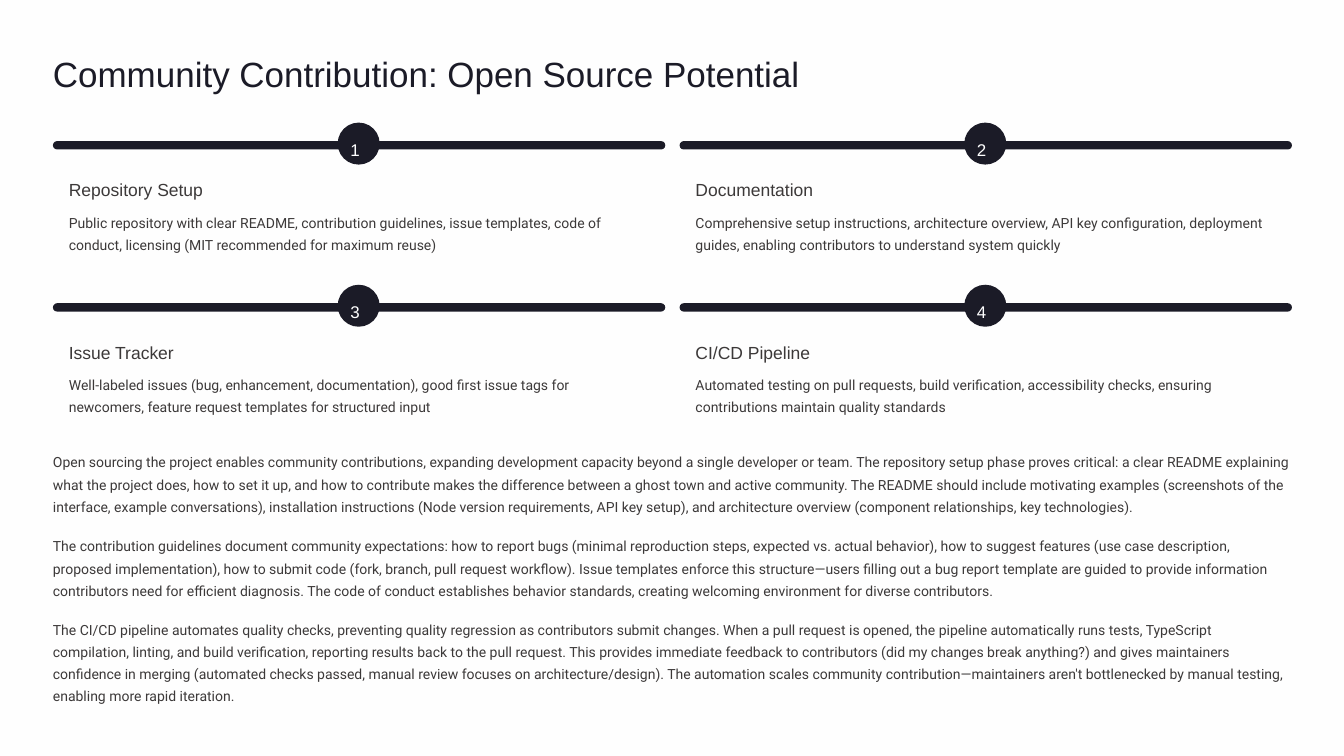
import pptx
import pptx.dml.color
import pptx.enum.shapes
import pptx.enum.text
import pptx.oxml.ns
import pptx.util
from lxml import etree

Inches = pptx.util.Inches
Pt = pptx.util.Pt

NAVY, GREY, WHITE = "1B1B27", "3C3939", "FFFFFF"
FORMATS = {
    "title": {"name": "Arial", "size": 30, "color": NAVY, "spacing": 37.5, "wrap": False},
    "number": {"name": "Arial", "size": 14.5, "color": WHITE, "spacing": 23, "wrap": False},
    "heading": {"name": "Arial", "size": 15, "color": GREY, "spacing": 18.5, "wrap": False},
    "body": {"name": "Roboto", "size": 12, "color": GREY, "spacing": 19, "wrap": True},
}

STEPS = [
    ("Repository Setup",
     "Public repository with clear README, contribution guidelines, issue templates, "
     "code of conduct, licensing (MIT recommended for maximum reuse)"),
    ("Documentation",
     "Comprehensive setup instructions, architecture overview, API key configuration, "
     "deployment guides, enabling contributors to understand system quickly"),
    ("Issue Tracker",
     "Well-labeled issues (bug, enhancement, documentation), good first issue tags for "
     "newcomers, feature request templates for structured input"),
    ("CI/CD Pipeline",
     "Automated testing on pull requests, build verification, accessibility checks, "
     "ensuring contributions maintain quality standards"),
]

# Top, height and wording of each closing paragraph
NOTES = [
    (5.34, 0.81,
     "Open sourcing the project enables community contributions, expanding development "
     "capacity beyond a single developer or team. The repository setup phase proves "
     "critical: a clear README explaining what the project does, how to set it up, and how "
     "to contribute makes the difference between a ghost town and active community. The "
     "README should include motivating examples (screenshots of the interface, example "
     "conversations), installation instructions (Node version requirements, API key setup), "
     "and architecture overview (component relationships, key technologies)."),
    (6.34, 0.81,
     "The contribution guidelines document community expectations: how to report bugs "
     "(minimal reproduction steps, expected vs. actual behavior), how to suggest features "
     "(use case description, proposed implementation), how to submit code (fork, branch, "
     "pull request workflow). Issue templates enforce this structure—users filling out a "
     "bug report template are guided to provide information contributors need for efficient "
     "diagnosis. The code of conduct establishes behavior standards, creating welcoming "
     "environment for diverse contributors."),
    (7.33, 1.07,
     "The CI/CD pipeline automates quality checks, preventing quality regression as "
     "contributors submit changes. When a pull request is opened, the pipeline automatically "
     "runs tests, TypeScript compilation, linting, and build verification, reporting results "
     "back to the pull request. This provides immediate feedback to contributors (did my "
     "changes break anything?) and gives maintainers confidence in merging (automated checks "
     "passed, manual review focuses on architecture/design). The automation scales community "
     "contribution—maintainers aren't bottlenecked by manual testing, enabling more rapid "
     "iteration."),
]


def rgb(value):
    return pptx.dml.color.RGBColor.from_string(value)


class SlideBuilder:
    def __init__(self, slide, formats):
        self.slide = slide
        self.formats = formats

    def background(self, color):
        fill = self.slide.background.fill
        fill.solid()
        fill.fore_color.rgb = rgb(color)

    def rounded(self, left, top, width, height, color, corner=0.5, opacity=100):
        shape = self.slide.shapes.add_shape(
            pptx.enum.shapes.MSO_SHAPE.ROUNDED_RECTANGLE,
            Inches(left), Inches(top), Inches(width), Inches(height))
        shape.adjustments[0] = corner
        shape.shadow.inherit = False
        shape.line.fill.background()
        shape.fill.solid()
        shape.fill.fore_color.rgb = rgb(color)
        if opacity < 100:
            qn = pptx.oxml.ns.qn
            color_element = shape.fill._xPr.find(qn("a:solidFill"))[0]
            etree.SubElement(color_element, qn("a:alpha"), val=str(opacity * 1000))

    def text(self, left, top, width, height, wording, kind):
        style = self.formats[kind]
        box = self.slide.shapes.add_textbox(
            Inches(left), Inches(top), Inches(width), Inches(height))
        frame = box.text_frame
        frame_values = {"margin_left": 0, "margin_right": 0, "margin_top": 0,
                        "margin_bottom": 0, "word_wrap": style["wrap"],
                        "vertical_anchor": pptx.enum.text.MSO_ANCHOR.TOP}
        for name, value in frame_values.items():
            setattr(frame, name, value)
        paragraph = frame.paragraphs[0]
        paragraph.line_spacing = Pt(style["spacing"])
        run = paragraph.add_run()
        run.text = wording
        for name, value in {"name": style["name"], "size": Pt(style["size"])}.items():
            setattr(run.font, name, value)
        run.font.color.rgb = rgb(style["color"])

    def step(self, left, top, number, heading, description):
        """Card with a top bar, a numbered badge and two texts."""
        self.rounded(left, top + 0.03, 7.29, 1.51, WHITE, corner=0.08, opacity=95)
        self.rounded(left, top, 7.29, 0.1, NAVY)
        self.rounded(left + 3.39, top - 0.22, 0.5, 0.5, NAVY)
        self.text(left + 3.54, top - 0.1, 0.2, 0.25, str(number), "number")
        self.text(left + 0.19, top + 0.45, 2.1, 0.26, heading, "heading")
        self.text(left + 0.19, top + 0.81, 6.9, 0.54, description, "body")


def main():
    presentation = pptx.Presentation()
    presentation.slide_width = Inches(16)
    presentation.slide_height = Inches(9)
    slide = presentation.slides.add_slide(presentation.slide_layouts[6])
    builder = SlideBuilder(slide, FORMATS)

    # Background and title
    builder.background("FEFEFE")
    builder.text(0.63, 0.6, 9.73, 0.52, "Community Contribution: Open Source Potential", "title")

    # Two by two grid of steps
    for index, (heading, description) in enumerate(STEPS):
        row, column = divmod(index, 2)
        builder.step(0.63 + 7.46 * column, 1.68 + 1.93 * row, index + 1, heading, description)

    # Closing paragraphs
    for top, height, wording in NOTES:
        builder.text(0.63, top, 14.75, height, wording, "body")

    presentation.save("out.pptx")


if __name__ == "__main__":
    main()
